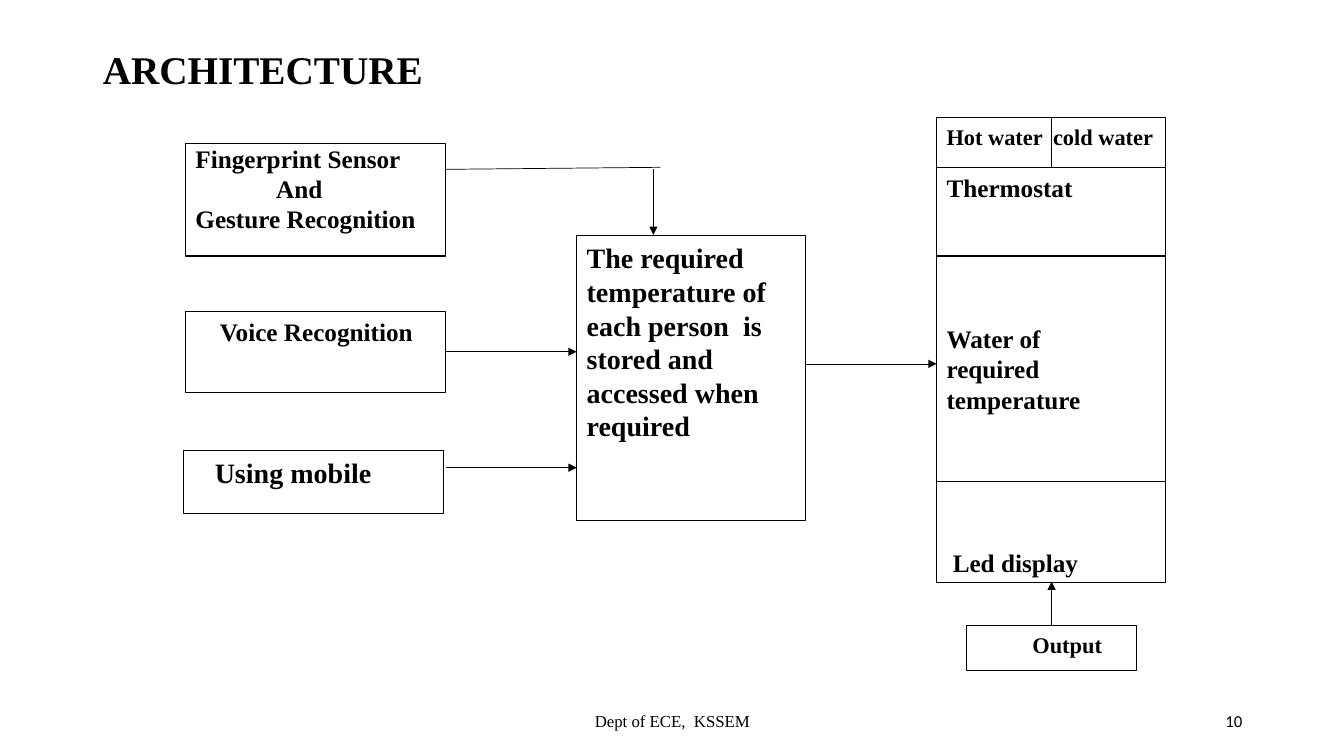
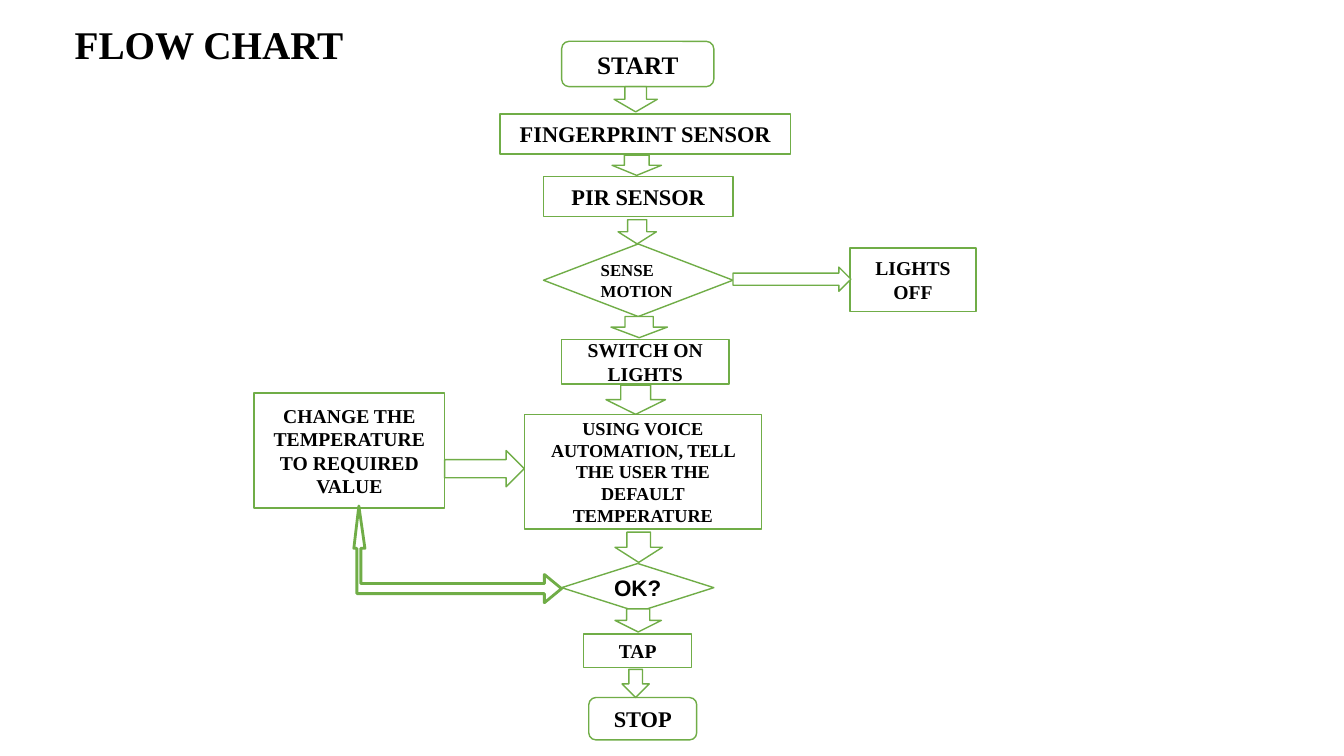
from pptx import Presentation
from pptx.dml.color import RGBColor
from pptx.enum import shapes, text
from pptx.oxml import parse_xml
from pptx.oxml.ns import nsdecls
from pptx.util import Inches, Pt

HEX = {"ink": "000000", "paper": "FFFFFF", "green": "70AD47"}
SERIF = "Times New Roman"
KIND = shapes.MSO_SHAPE
TOP, MID, LOW = (text.MSO_ANCHOR.TOP, text.MSO_ANCHOR.MIDDLE,
                 text.MSO_ANCHOR.BOTTOM)
LEFT, MIDDLE, RIGHT = (text.PP_ALIGN.LEFT, text.PP_ALIGN.CENTER,
                       text.PP_ALIGN.RIGHT)

# Architecture: words, place, size, anchor, left inset, top inset
BLOCKS = [
    ("Fingerprint Sensor\nAnd\nGesture Recognition",
     (1.84, 1.42, 2.58, 1.12), 18, TOP, 0.1, 0),
    ("Voice Recognition", (1.84, 3.09, 2.58, 0.8), 18, TOP, 0.34, 0.05),
    ("Using mobile", (1.82, 4.47, 2.58, 0.62), 20, TOP, 0.31, 0.05),
    ("The required temperature of each person  is stored and accessed "
     "when required", (5.72, 2.34, 2.27, 2.82), 20, TOP, 0.1, 0.05),
    ("Output", (9.59, 6.21, 1.68, 0.44), 16, TOP, 0.65, 0.05),
]
AND_INDENT = 0.8

# Water tank: sections from top to bottom, each ending at the given height
TANK_X, TANK_Y, TANK_W = 9.29, 1.17, 2.27
HALVES = [("Hot water", 0.1), ("cold water", 0.02)]
HALF_END = 1.66
SECTIONS = [
    ("Thermostat", 2.54, TOP, 0.1),
    ("Water of\nrequired\ntemperature", 4.78, MID, 0.1),
    ("Led display", 5.78, LOW, 0.16),
]

# Connectors: from, to, arrowhead
LINKS = [
    ((4.42, 1.68), (6.55, 1.66), False),
    ((6.48, 1.68), (6.48, 2.33), True),
    ((4.42, 3.49), (5.72, 3.49), True),
    ((4.42, 4.64), (5.72, 4.64), True),
    ((7.99, 3.61), (9.29, 3.61), True),
    ((10.43, 6.21), (10.43, 5.77), True),
]

# Flow chart: words, kind, place, size
STEPS = [
    ("START", KIND.ROUNDED_RECTANGLE, (5.57, 0.41, 1.51, 0.45), 18),
    ("FINGERPRINT SENSOR", KIND.RECTANGLE, (4.96, 1.13, 2.88, 0.4), 16),
    ("PIR SENSOR", KIND.RECTANGLE, (5.39, 1.75, 1.88, 0.4), 16),
    ("SENSE MOTION", KIND.DIAMOND, (5.39, 2.42, 1.88, 0.72), 12),
    ("LIGHTS OFF", KIND.RECTANGLE, (8.43, 2.46, 1.25, 0.63), 14),
    ("SWITCH ON LIGHTS", KIND.RECTANGLE, (5.57, 3.37, 1.66, 0.44), 14),
    ("USING VOICE AUTOMATION, TELL THE USER THE DEFAULT TEMPERATURE",
     KIND.RECTANGLE, (5.2, 4.11, 2.35, 1.14), 13),
    ("CHANGE THE TEMPERATURE TO REQUIRED VALUE",
     KIND.RECTANGLE, (2.52, 3.9, 1.89, 1.14), 14),
    ("OK?", KIND.DIAMOND, (5.57, 5.59, 1.51, 0.48), 16),
    ("TAP", KIND.RECTANGLE, (5.79, 6.29, 1.07, 0.33), 14),
    ("STOP", KIND.ROUNDED_RECTANGLE, (5.84, 6.92, 1.07, 0.42), 16),
]
DOWN = [
    (6.09, 0.86, 0.43, 0.25), (6.07, 1.54, 0.49, 0.2),
    (6.13, 2.18, 0.38, 0.24), (6.06, 3.14, 0.56, 0.21),
    (6.01, 3.82, 0.59, 0.29), (6.1, 5.28, 0.47, 0.3),
    (6.1, 6.04, 0.46, 0.23), (6.17, 6.64, 0.27, 0.28),
]
ACROSS = [(7.27, 2.65, 1.17, 0.24), (4.41, 4.47, 0.79, 0.36)]
BEND = [
    (5.57, 5.84), (5.4, 5.7), (5.4, 5.79), (3.58, 5.79), (3.58, 5.44),
    (3.62, 5.44), (3.56, 5.02), (3.51, 5.44), (3.54, 5.44), (3.54, 5.89),
    (5.4, 5.89), (5.4, 5.98),
]


def color(name):
    return RGBColor.from_string(HEX[name])


def inch(nums):
    return [Inches(n) for n in nums]


def write(shape, words, size, align=LEFT, anchor=MID, left=0.1, top=0.05,
          font=SERIF, bold=True):
    frame = shape.text_frame
    frame.text = words
    frame.word_wrap = True
    frame.auto_size = text.MSO_AUTO_SIZE.NONE
    frame.vertical_anchor = anchor
    frame.margin_left, frame.margin_right = inch((left, min(left, 0.1)))
    frame.margin_top, frame.margin_bottom = inch((top, 0.05))
    for para in frame.paragraphs:
        para.alignment = align
        for run in para.runs:
            run.font.name, run.font.size = font, Pt(size)
            run.font.bold = bold
            run.font.color.rgb = color("ink")


def paint(shape, line, width):
    shape.shadow.inherit = False
    shape.fill.solid()
    shape.fill.fore_color.rgb = color("paper")
    shape.line.color.rgb = color(line)
    shape.line.width = Pt(width)


def add_box(slide, kind, place, line="green", width=1):
    shape = slide.shapes.add_shape(kind, *inch(place))
    paint(shape, line, width)
    return shape


def add_link(slide, start, end, head):
    link = slide.shapes.add_connector(
        shapes.MSO_CONNECTOR.STRAIGHT, *inch(start + end))
    link.line.color.rgb = color("ink")
    link.line.width = Pt(0.5)
    if head:
        link.line._get_or_add_ln().append(
            parse_xml(f'<a:tailEnd {nsdecls("a")} type="triangle"/>'))
    link._element.spPr.append(parse_xml(f'<a:effectLst {nsdecls("a")}/>'))


def add_slide(prs, words, left, top):
    slide = prs.slides.add_slide(prs.slide_layouts[5])
    title = slide.shapes.title
    title.left, title.top, title.width, title.height = inch(
        (left, top, 11.5, 0.64))
    write(title, words, 28)
    title.text_frame.paragraphs[0].line_spacing = 0.9
    return slide


def add_footer(slide, words, number):
    for note, left, width, align, font in (
            (words, 4.42, 4.5, MIDDLE, SERIF),
            (number, 9.42, 3, RIGHT, "Calibri")):
        box = slide.shapes.add_textbox(*inch((left, 6.95, width, 0.4)))
        write(box, note, 12, align, font=font, bold=False)


def add_tank(slide):
    half = TANK_W / 2
    for i, (words, inset) in enumerate(HALVES):
        place = (TANK_X + i * half, TANK_Y, half, HALF_END - TANK_Y)
        cell = add_box(slide, KIND.RECTANGLE, place, "ink", 0.75)
        write(cell, words, 16, anchor=TOP, left=inset)
        cell.text_frame.margin_right = 0
    top = HALF_END
    for words, end, anchor, inset in SECTIONS:
        cell = add_box(slide, KIND.RECTANGLE,
                       (TANK_X, top, TANK_W, end - top), "ink", 0.75)
        write(cell, words, 18, anchor=anchor, left=inset)
        top = end


def draw_plan(prs):
    slide = add_slide(prs, "ARCHITECTURE", 0.92, 0.39)
    for words, place, size, anchor, left, top in BLOCKS:
        box = add_box(slide, KIND.RECTANGLE, place, "ink", 0.75)
        write(box, words, size, anchor=anchor, left=left, top=top)
        for para in box.text_frame.paragraphs:
            if para.text == "And":
                para._p.get_or_add_pPr().set(
                    "marL", str(Inches(AND_INDENT)))
    add_tank(slide)
    for start, end, head in LINKS:
        add_link(slide, start, end, head)
    add_footer(slide, "Dept of ECE,  KSSEM", "10")


def draw_flow(prs):
    slide = add_slide(prs, "FLOW CHART", 0.64, 0.14)
    for words, kind, place, size in STEPS:
        write(add_box(slide, kind, place), words, size,
              LEFT if words == "SENSE MOTION" else MIDDLE,
              font="Arial" if words == "OK?" else SERIF)
    for kind, places in ((KIND.DOWN_ARROW, DOWN), (KIND.RIGHT_ARROW, ACROSS)):
        for place in places:
            add_box(slide, kind, place)
    first, *rest = [tuple(inch(point)) for point in BEND]
    pen = slide.shapes.build_freeform(*first)
    pen.add_line_segments(rest, close=True)
    paint(pen.convert_to_shape(), "green", 2)


def main():
    prs = Presentation()
    prs.slide_width, prs.slide_height = inch((13.33, 7.5))
    draw_plan(prs)
    draw_flow(prs)
    prs.save("out.pptx")


if __name__ == "__main__":
    main()
